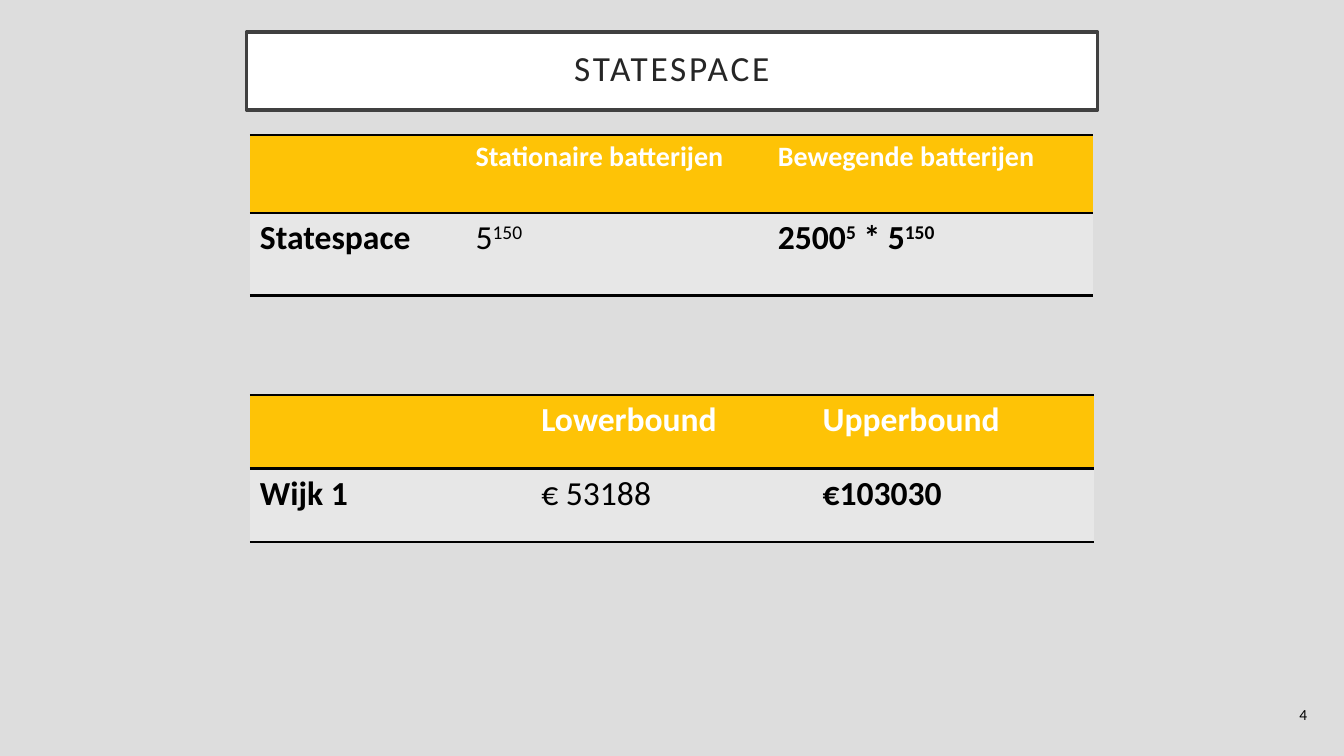
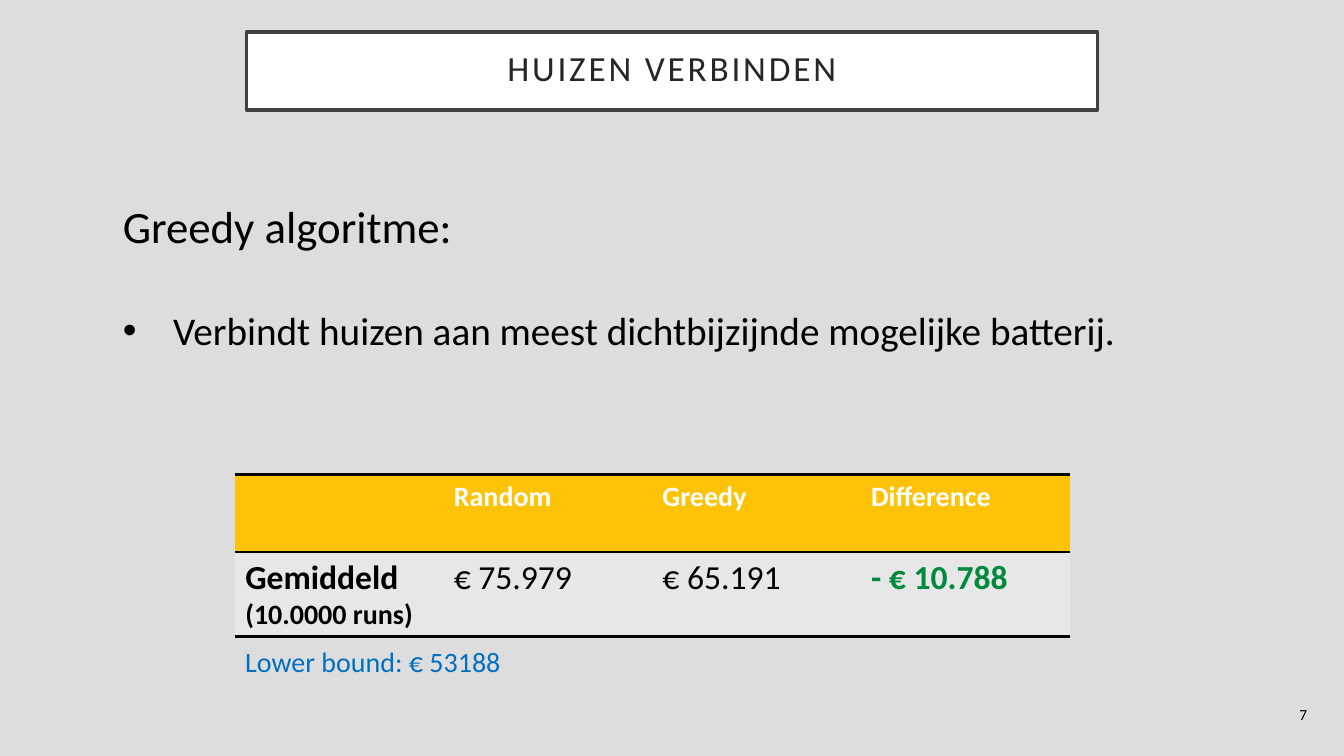
"""Build two slides on battery placement: the state space and the greedy algorithm."""
from dataclasses import dataclass

from lxml import etree
from pptx import Presentation
from pptx.dml.color import RGBColor
from pptx.enum import text as text_enum
from pptx.oxml import ns
from pptx.util import Pt


@dataclass(frozen=True)
class Theme:
    font: str = "Calibri"
    background: RGBColor = RGBColor.from_string("DDDDDD")
    white: RGBColor = RGBColor.from_string("FFFFFF")
    black: RGBColor = RGBColor.from_string("000000")
    title_text: RGBColor = RGBColor.from_string("262626")
    title_line: RGBColor = RGBColor.from_string("404040")
    header_fill: RGBColor = RGBColor.from_string("FEC306")
    body_fill: RGBColor = RGBColor.from_string("E7E7E7")
    gain: RGBColor = RGBColor.from_string("008A3E")
    note: RGBColor = RGBColor.from_string("0070C0")
    heading_size: int = 32
    bullet_size: int = 28
    title_size: float = 25.2
    large: int = 24
    medium: int = 20
    number_size: int = 11


theme = Theme()
PLAIN_TABLE_STYLE = "{2D5ABB26-0587-4C30-8999-92F81FD0307C}"


def write(paragraph, content, size, color=theme.black, bold=False):
    """Add runs to a paragraph; text between carets is superscript."""
    for index, part in enumerate(content.split("^")):
        if not part:
            continue
        run = paragraph.add_run()
        run.text = part
        run.font.name = theme.font
        run.font.size = Pt(size)
        run.font.bold = bold
        run.font.color.rgb = color
        if index % 2:
            run.font._element.set("baseline", "30000")


def add_ruled_table(slide, left, top, widths, heights, rows, header_size):
    """Add a table with a yellow header, grey body and horizontal rules."""
    frame = slide.shapes.add_table(len(rows), len(widths), Pt(left), Pt(top),
                                   Pt(sum(widths)), Pt(sum(heights)))
    table = frame.table
    table._tbl.tblPr.find(ns.qn("a:tableStyleId")).text = PLAIN_TABLE_STYLE
    for column, width in zip(table.columns, widths):
        column.width = Pt(width)
    for row, height in zip(table.rows, heights):
        row.height = Pt(height)
    for row_index, row in enumerate(rows):
        is_header = row_index == 0
        for column_index, content in enumerate(row):
            cell = table.cell(row_index, column_index)
            cell.fill.solid()
            cell.fill.fore_color.rgb = theme.header_fill if is_header else theme.body_fill
            properties = cell._tc.get_or_add_tcPr()
            for position, edge in enumerate(("a:lnT", "a:lnB")):
                line = etree.Element(ns.qn(edge), w=str(Pt(2)))
                fill = etree.SubElement(line, ns.qn("a:solidFill"))
                etree.SubElement(fill, ns.qn("a:srgbClr"), val=str(theme.black))
                properties.insert(position, line)
            write(cell.text_frame.paragraphs[0], content,
                  header_size if is_header else theme.large,
                  theme.white if is_header else theme.black,
                  is_header or column_index in (0, len(row) - 1))
    return table


presentation = Presentation()
presentation.slide_width, presentation.slide_height = Pt(960), Pt(540)
background = presentation.slide_master.background.fill
background.solid()
background.fore_color.rgb = theme.background

slides = []
for layout_index, heading, number in ((5, "STATESPACE", "4"), (1, "HUIZEN VERBINDEN", "7")):
    slide = presentation.slides.add_slide(presentation.slide_layouts[layout_index])
    slides.append(slide)

    title = slide.shapes.title
    title.left, title.top, title.width, title.height = Pt(176), Pt(23), Pt(608), Pt(55.5)
    title.fill.solid()
    title.fill.fore_color.rgb = theme.white
    title.line.color.rgb = theme.title_line
    title.line.width = Pt(2.5)
    frame = title.text_frame
    frame.auto_size = text_enum.MSO_AUTO_SIZE.NONE
    frame.vertical_anchor = text_enum.MSO_ANCHOR.MIDDLE
    frame.margin_left = frame.margin_right = frame.margin_top = frame.margin_bottom = Pt(14.4)
    paragraph = frame.paragraphs[0]
    paragraph.alignment = text_enum.PP_ALIGN.CENTER
    paragraph.line_spacing = 0.8
    write(paragraph, heading, theme.title_size, theme.title_text)
    paragraph.runs[0].font._element.set("spc", "200")

    number_box = slide.shapes.add_textbox(Pt(916.5), Pt(496), Pt(29), Pt(29))
    frame = number_box.text_frame
    frame.word_wrap = True
    frame.vertical_anchor = text_enum.MSO_ANCHOR.MIDDLE
    frame.margin_left = frame.margin_right = Pt(1.44)
    frame.paragraphs[0].alignment = text_enum.PP_ALIGN.CENTER
    write(frame.paragraphs[0], number, theme.number_size)

statespace, connecting = slides

add_ruled_table(statespace, 178.5, 96.5, (154, 216, 232.5), (55.5, 59), (
    ("", "Stationaire batterijen", "Bewegende batterijen"),
    ("Statespace", "5^150^", "2500^5^ * 5^150^"),
), theme.medium)
add_ruled_table(statespace, 178.5, 282, (201,) * 3, (52.5,) * 2, (
    ("", "Lowerbound", "Upperbound"),
    ("Wijk 1", "€ 53188", "€103030"),
), theme.large)

body = connecting.placeholders[1]
body.left, body.top, body.width, body.height = Pt(80.5), Pt(138), Pt(798), Pt(351)
frame = body.text_frame
frame.auto_size = text_enum.MSO_AUTO_SIZE.NONE
frame.vertical_anchor = text_enum.MSO_ANCHOR.TOP
lead = frame.paragraphs[0]
lead.space_before = Pt(0)
write(lead, "Greedy algoritme:", theme.heading_size)
bullet = frame.add_paragraph()
bullet.space_before = Pt(39)
write(bullet, "Verbindt huizen aan meest dichtbijzijnde mogelijke batterij.", theme.bullet_size)
for paragraph, indent in ((lead, 0), (bullet, 36)):
    properties = paragraph._p.get_or_add_pPr()
    properties.set("marL", str(Pt(indent)))
    properties.set("indent", str(-Pt(indent)))
etree.SubElement(lead._p.pPr, ns.qn("a:buNone"))
etree.SubElement(bullet._p.pPr, ns.qn("a:buChar"), char="•")

results = add_ruled_table(connecting, 168, 339, (149,) * 4, (55.5, 59), (
    ("", "Random", "Greedy", "Difference"),
    ("Gemiddeld", "€ 75.979", "€ 65.191", "- € 10.788"),
), theme.medium)
write(results.cell(1, 0).text_frame.add_paragraph(), "(10.0000 runs)", theme.medium, bold=True)
results.cell(1, 3).text_frame.paragraphs[0].runs[0].font.color.rgb = theme.gain

note = connecting.shapes.add_textbox(Pt(168), Pt(457), Pt(608), Pt(53))
note.text_frame.word_wrap = True
write(note.text_frame.paragraphs[0], "Lower bound: € 53188", theme.medium, theme.note)

presentation.save("out.pptx")
